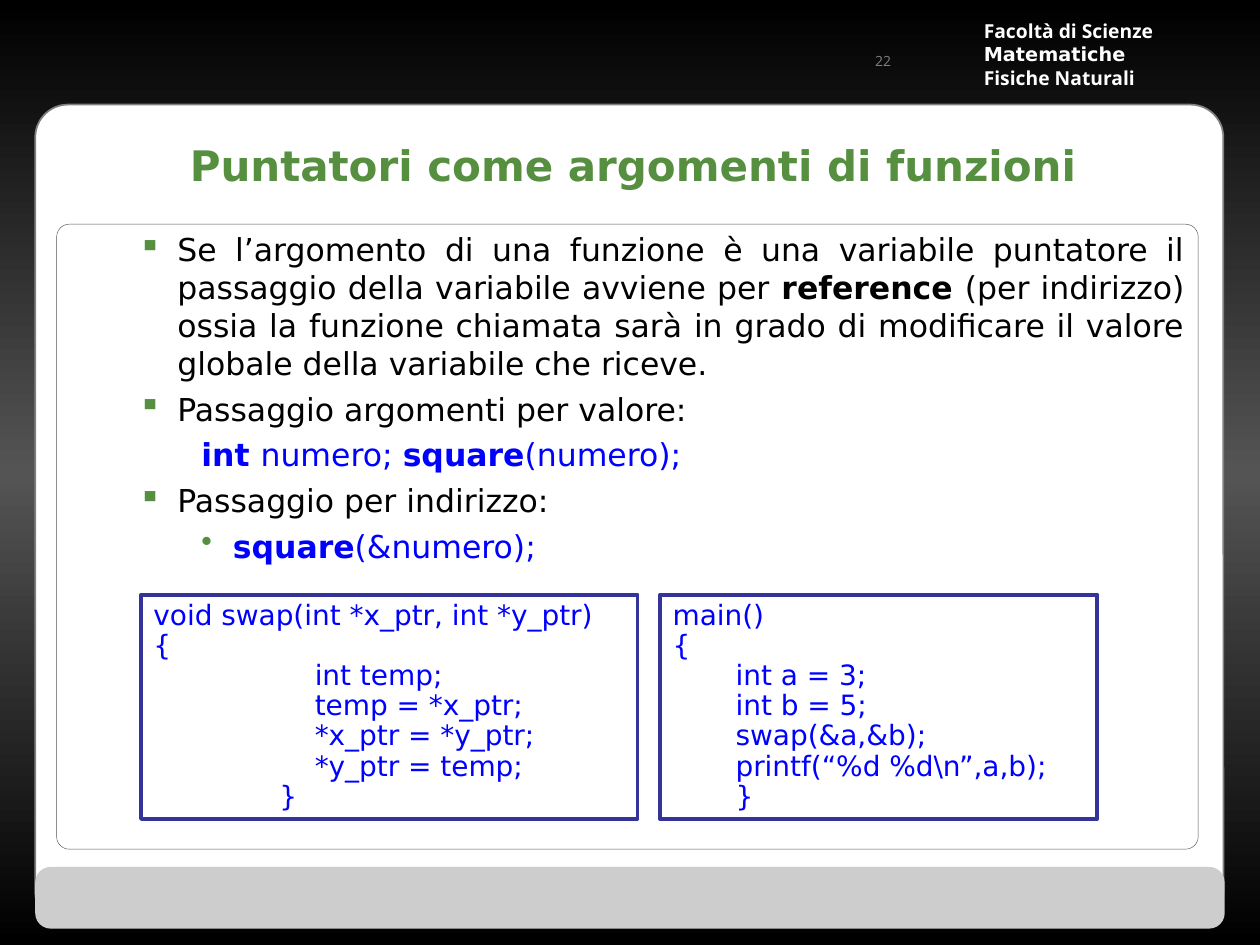
import copy
from dataclasses import dataclass

import pptx
import pptx.dml.color
import pptx.enum.shapes
import pptx.enum.text
import pptx.oxml.ns
import pptx.util
from lxml import etree

Inches = pptx.util.Inches
Pt = pptx.util.Pt
Align = pptx.enum.text.PP_ALIGN
Anchor = pptx.enum.text.MSO_ANCHOR
Shapes = pptx.enum.shapes.MSO_SHAPE


def color(value):
    return pptx.dml.color.RGBColor.from_string(value)


@dataclass(frozen=True)
class Theme:
    font: str = "DejaVu Sans"
    header_font: str = "Open Sans"
    black: str = "000000"
    white: str = "FFFFFF"
    grey: str = "808080"
    dark_grey: str = "545454"
    footer: str = "CDCDCD"
    green: str = "568F3F"
    code: str = "0000FF"
    code_border: str = "333399"
    title_size: int = 24
    body_size: int = 18
    code_size: int = 16
    header_size: int = 11
    number_size: int = 8


THEME = Theme()


def style(paragraph, size, value, name=THEME.font, bold=False):
    font = paragraph.font
    font.name, font.size, font.bold = name, Pt(size), bold
    font.color.rgb = color(value)


def set_indent(paragraph, margin, first_line=0, bullet=None):
    """Set margin and first-line indent in inches, with an optional bullet."""
    properties = paragraph._p.get_or_add_pPr()
    properties.set("marL", str(Inches(margin)))
    properties.set("indent", str(Inches(first_line)))
    if bullet:
        bullet_color = etree.SubElement(properties, pptx.oxml.ns.qn("a:buClr"))
        etree.SubElement(bullet_color, pptx.oxml.ns.qn("a:srgbClr"), val=THEME.green)
        etree.SubElement(properties, pptx.oxml.ns.qn("a:buChar"), char=bullet)


def add_paragraphs(frame, count):
    return [frame.paragraphs[0]] + [frame.add_paragraph() for _ in range(count - 1)]


def add_text_box(slide, box, anchor=Anchor.TOP):
    frame = slide.shapes.add_textbox(*map(Inches, box)).text_frame
    frame.word_wrap = True
    frame.vertical_anchor = anchor
    return frame


def add_panel(slide, kind, box, fill=None, line=None, width=1, corner=None):
    shape = slide.shapes.add_shape(kind, *map(Inches, box))
    shape.shadow.inherit = False
    if corner is not None:
        shape.adjustments[0] = corner
    if fill:
        shape.fill.solid()
        shape.fill.fore_color.rgb = color(fill)
    else:
        shape.fill.background()
    if line:
        shape.line.color.rgb = color(line)
        shape.line.width = Pt(width)
    else:
        shape.line.fill.background()
    return shape


def set_background(slide):
    """Vertical gradient: black, grey in the middle, black."""
    fill = slide.background.fill
    fill.gradient()
    fill.gradient_angle = 90
    first, middle = fill.gradient_stops
    first.position, middle.position = 0, 0.5
    first.color.rgb = color(THEME.black)
    middle.color.rgb = color(THEME.dark_grey)
    stops = next(slide.element.iter(pptx.oxml.ns.qn("a:gsLst")))
    last = copy.deepcopy(stops[0])
    last.set("pos", "100000")
    stops.append(last)


def add_header(slide, box):
    lines = [("Facoltà di Scienze", THEME.header_font),
             ("Matematiche", THEME.font),
             ("Fisiche Naturali", THEME.header_font)]
    frame = add_text_box(slide, box, Anchor.MIDDLE)
    for paragraph, (text, font) in zip(add_paragraphs(frame, len(lines)), lines):
        paragraph.text = text
        style(paragraph, THEME.header_size, THEME.white, font, bold=True)


def add_page_number(slide, box, number):
    paragraph = add_text_box(slide, box, Anchor.MIDDLE).paragraphs[0]
    paragraph.text = number
    paragraph.alignment = Align.RIGHT
    style(paragraph, THEME.number_size, THEME.grey, THEME.header_font)


def set_title(slide, box, text):
    title = slide.shapes.title
    title.left, title.top, title.width, title.height = map(Inches, box)
    frame = title.text_frame
    frame.text = text
    frame.auto_size = pptx.enum.text.MSO_AUTO_SIZE.NONE
    frame.vertical_anchor = Anchor.MIDDLE
    paragraph = frame.paragraphs[0]
    paragraph.alignment = Align.CENTER
    style(paragraph, THEME.title_size, THEME.green, bold=True)


def add_body(slide, box):
    """Bulleted text; each run is a pair of text and boldness."""
    point = (0.81, -0.31, "▪")
    items = [
        (point, THEME.black, [
            ("Se l’argomento di una funzione è una variabile puntatore il "
             "passaggio della variabile avviene per ", False),
            ("reference ", True),
            ("(per indirizzo) ossia la funzione chiamata sarà in grado di "
             "modificare il valore globale della variabile che riceve.", False)]),
        (point, THEME.black, [("Passaggio argomenti per valore:", False)]),
        ((1.25, -0.25), THEME.code, [("int ", True), ("numero; ", False),
                                     ("square", True), ("(numero);", False)]),
        (point, THEME.black, [("Passaggio per indirizzo:", False)]),
        ((1.25, -0.25, "•"), THEME.code, [("square", True), ("(&numero);", False)]),
    ]
    frame = add_text_box(slide, box)
    for paragraph, (indent, value, runs) in zip(add_paragraphs(frame, len(items)), items):
        paragraph.alignment = Align.JUSTIFY
        paragraph.space_before = Pt(4.5)
        set_indent(paragraph, *indent)
        style(paragraph, THEME.body_size, value)
        for text, bold in runs:
            run = paragraph.add_run()
            run.text = text
            run.font.bold = bold


def add_code(slide, box, lines):
    """Bordered listing; each line is a pair of indent and text."""
    shape = add_panel(slide, Shapes.RECTANGLE, box, line=THEME.code_border, width=2.25)
    frame = shape.text_frame
    frame.word_wrap = True
    frame.vertical_anchor = Anchor.TOP
    for paragraph, (indent, text) in zip(add_paragraphs(frame, len(lines)), lines):
        paragraph.text = text
        paragraph.alignment = Align.LEFT
        paragraph.line_spacing = 0.9
        set_indent(paragraph, indent)
        style(paragraph, THEME.code_size, THEME.code)


def main():
    presentation = pptx.Presentation()
    presentation.slide_width, presentation.slide_height = Inches(10), Inches(7.5)
    slide = presentation.slides.add_slide(presentation.slide_layouts[5])

    # Page frame
    set_background(slide)
    add_panel(slide, Shapes.ROUNDED_RECTANGLE, (0.28, 0.83, 9.43, 6.51),
              THEME.white, THEME.grey, corner=0.04)
    add_panel(slide, Shapes.ROUNDED_RECTANGLE, (0.28, 6.88, 9.44, 0.49),
              THEME.footer, corner=0.25)
    add_header(slide, (7.71, 0.22, 1.83, 0.42))
    add_page_number(slide, (6.42, 0.23, 0.75, 0.5), "22")

    # Title, brought in front of the white panel
    set_title(slide, (0.35, 0.84, 9.35, 0.94), "Puntatori come argomenti di funzioni")
    slide.shapes._spTree.append(slide.shapes.title._element)

    # Content
    add_body(slide, (0.5, 1.78, 9, 4.92))
    add_panel(slide, Shapes.ROUNDED_RECTANGLE, (0.45, 1.78, 9.06, 4.96),
              line=THEME.dark_grey, width=0.25, corner=0.02)
    add_code(slide, (1.12, 4.72, 3.94, 1.78), [
        (0, "void swap(int *x_ptr, int *y_ptr)"), (0, "{"),
        (1.28, "int temp;"), (1.28, "temp = *x_ptr;"),
        (1.28, "*x_ptr = *y_ptr;"), (1.28, "*y_ptr = temp;"), (1, "}")])
    add_code(slide, (5.24, 4.72, 3.47, 1.78), [
        (0, "main()"), (0, "{"),
        (0.5, "int a = 3;"), (0.5, "int b = 5;"), (0.5, "swap(&a,&b);"),
        (0.5, "printf(“%d %d\\n”,a,b);"), (0.5, "}")])

    presentation.save("out.pptx")


if __name__ == "__main__":
    main()
